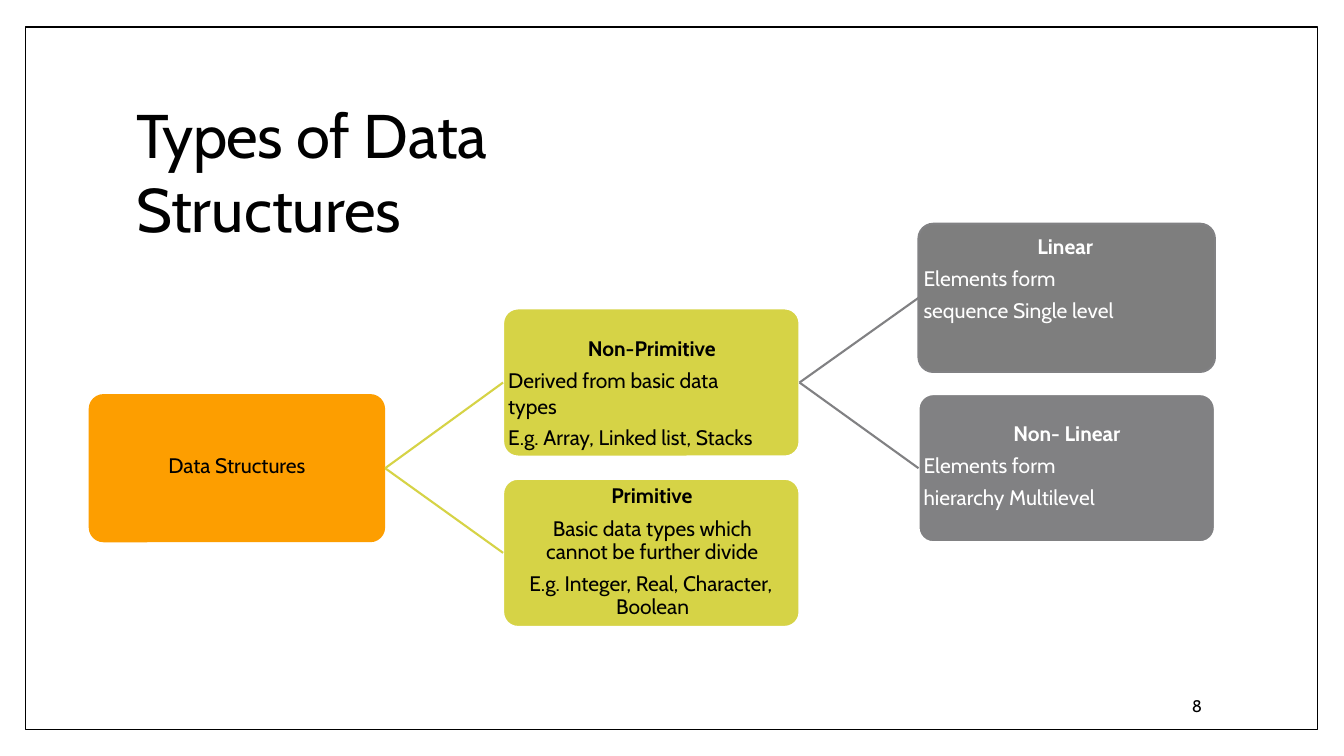
from lxml import etree
from pptx import Presentation
from pptx.dml.color import RGBColor
from pptx.enum.shapes import MSO_CONNECTOR as Connector, MSO_SHAPE as Shape
from pptx.enum.text import MSO_ANCHOR as Anchor, MSO_AUTO_SIZE as AutoSize, PP_ALIGN as Align
from pptx.oxml.ns import qn
from pptx.util import Pt

PX = 9144  # 100 px to the inch
FONT = "Cabin"
COLORS = {
    "black": "000000",
    "white": "FFFFFF",
    "orange": "FD9E00",
    "lime": "D6D346",
    "gray": "818183",
    "dark_gray": "7E7E7E",
}
NODE_WIDTH, NODE_HEIGHT = 294, 147


def px(*lengths):
    return [round(length * PX) for length in lengths]


def color(name):
    return RGBColor.from_string(COLORS[name])


def set_line(line, name, width):
    line.color.rgb = color(name)
    line.width = Pt(width)


def write(para, text, size=15, fill="black", bold=False, tracking=0):
    """Append one formatted span; tracking is in hundredths of a point."""
    span = para.add_run()
    span.text = text
    font = span.font
    font.name, font.size, font.bold = FONT, Pt(size), bold
    font.color.rgb = color(fill)
    if tracking:
        span._r.get_or_add_rPr().set("spc", str(tracking))


def format_para(para, left=0, first=0, before=0, line=None, align=Align.LEFT):
    properties = para._p.get_or_add_pPr()
    properties.set("marL", str(left * PX))
    properties.set("indent", str(first * PX))
    para.alignment = align
    para.space_before = Pt(before)
    if line:
        para.line_spacing = line


def prepare_frame(frame, top=1):
    frame.word_wrap = True
    frame.auto_size = AutoSize.NONE
    frame.vertical_anchor = Anchor.TOP
    frame.margin_left = frame.margin_right = frame.margin_bottom = 0
    frame.margin_top = top * PX


def add_text(page, place, paragraphs, top=1):
    """Each paragraph is a list of (text, span format) and a paragraph format."""
    frame = page.shapes.add_textbox(*px(*place)).text_frame
    prepare_frame(frame, top)
    for index, (spans, layout) in enumerate(paragraphs):
        para = frame.add_paragraph() if index else frame.paragraphs[0]
        format_para(para, **layout)
        for text, style in spans:
            write(para, text, **style)


def add_frame(page):
    frame = page.shapes.add_shape(Shape.RECTANGLE, *px(25, 27, 1282, 697))
    frame.shadow.inherit = False
    frame.fill.background()
    set_line(frame.line, "black", 1)


def set_title(page):
    title = page.shapes.title
    title.left, title.top, title.width, title.height = px(134, 95, 621, 76)
    prepare_frame(title.text_frame)
    para = title.text_frame.paragraphs[0]
    format_para(para, left=1)
    write(para, "Types ", size=44, tracking=-60)
    write(para, "of Data Structures", size=44)


def add_node(page, left, top, fill, outline=None):
    node = page.shapes.add_shape(
        Shape.ROUNDED_RECTANGLE, *px(left, top, NODE_WIDTH, NODE_HEIGHT))
    node.adjustments[0] = 0.1
    node.shadow.inherit = False
    node.fill.solid()
    node.fill.fore_color.rgb = color(fill)
    if outline:
        set_line(node.line, outline, 1.5)
    else:
        node.line.fill.background()
    return node


def join(page, parent, child, name):
    """Link the right side of the parent to the left side of the child."""
    link = page.shapes.add_connector(Connector.STRAIGHT, 0, 0, 0, 0)
    link.begin_connect(parent, 3)
    link.end_connect(child, 1)
    set_line(link.line, name, 1.5)
    etree.SubElement(link._element.spPr, qn("a:effectLst"))


def add_level_text(page, top, heading, body, first):
    add_text(page, (915, top, 215, 98), [
        ([(heading + " ", {"fill": "white", "bold": True}), (body, {"fill": "white"})],
         {"left": 1, "first": first, "line": 1.27}),
    ])


def main():
    deck = Presentation()
    deck.slide_width, deck.slide_height = px(1333, 750)
    page = deck.slides.add_slide(deck.slide_layouts[5])
    add_frame(page)
    set_title(page)

    root = add_node(page, 88, 391, "orange")
    non_primitive = add_node(page, 499, 306, "lime", "white")
    primitive = add_node(page, 499, 475, "lime", "white")
    linear = add_node(page, 911, 222, "dark_gray", "gray")
    non_linear = add_node(page, 911, 391, "gray", "white")
    for parent, children, name in (
        (root, (non_primitive, primitive), "lime"),
        (non_primitive, (linear, non_linear), "gray"),
    ):
        for child in children:
            join(page, parent, child, name)

    add_text(page, (166, 448, 138, 28), [([("Data Structures", {})], {"left": 1})])
    add_text(page, (503, 325, 258, 98), [
        ([("Non-Primitive", {"bold": True})], {"left": 80}),
        ([("Derived from basic data types", {})], {"left": 1, "before": 5}),
        ([("E.g. Array, Linked list, Stacks", {})], {"left": 1, "before": 4.8}),
    ], top=8)
    add_text(page, (516, 471, 261, 144), [
        ([("Primitive", {"bold": True})], {"align": Align.CENTER}),
        ([("Basic data types which cannot be further divide", {})],
         {"left": 1, "before": 6.8, "line": Pt(16.4), "align": Align.CENTER}),
        ([("E.g. Integer, Real, Character, Boolean", {})],
         {"left": 95, "first": -86, "before": 6.6, "line": Pt(16.4)}),
    ], top=8)
    add_level_text(page, 224, "Linear", "Elements form sequence Single level", 113)
    add_level_text(page, 409, "Non- Linear", "Elements form hierarchy Multilevel", 89)
    add_text(page, (1177, 693, 25, 19),
             [([("8", {"size": 12})], {"left": 5, "line": Pt(12.3)})], top=0)
    deck.save("out.pptx")


if __name__ == "__main__":
    main()
